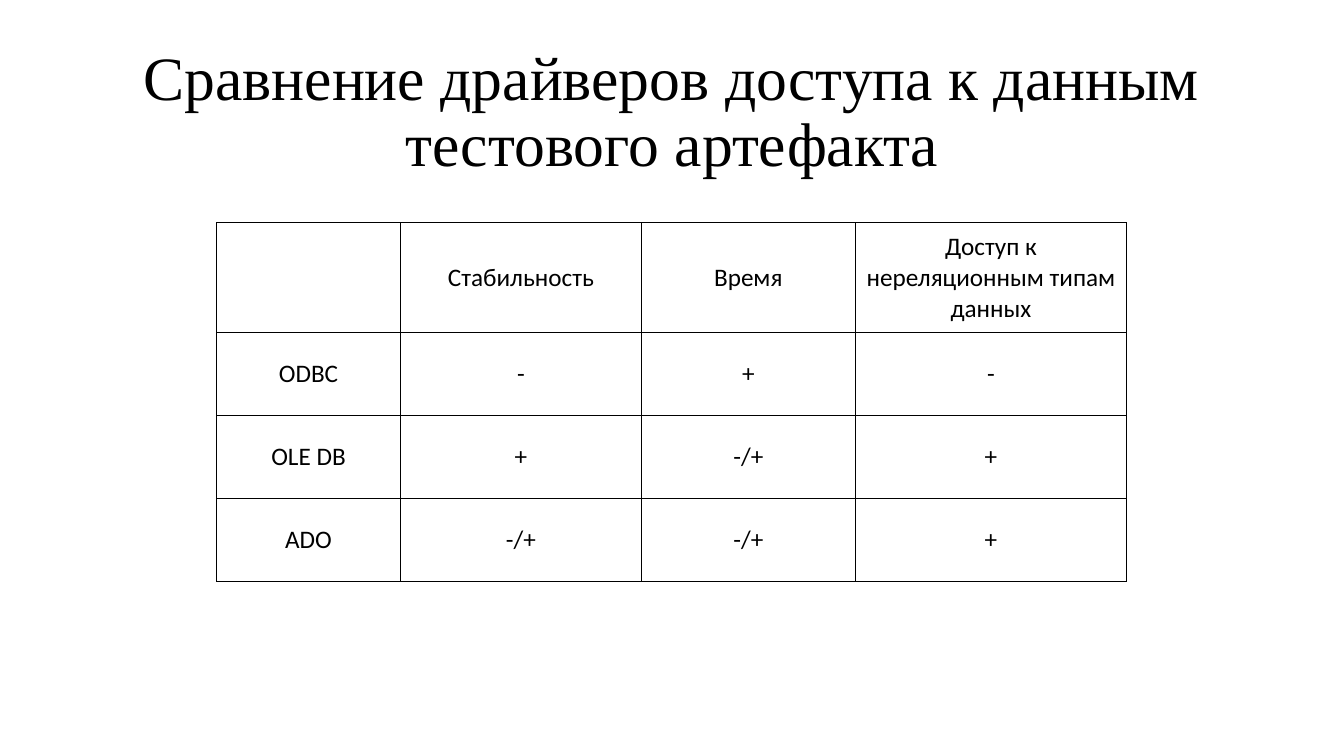
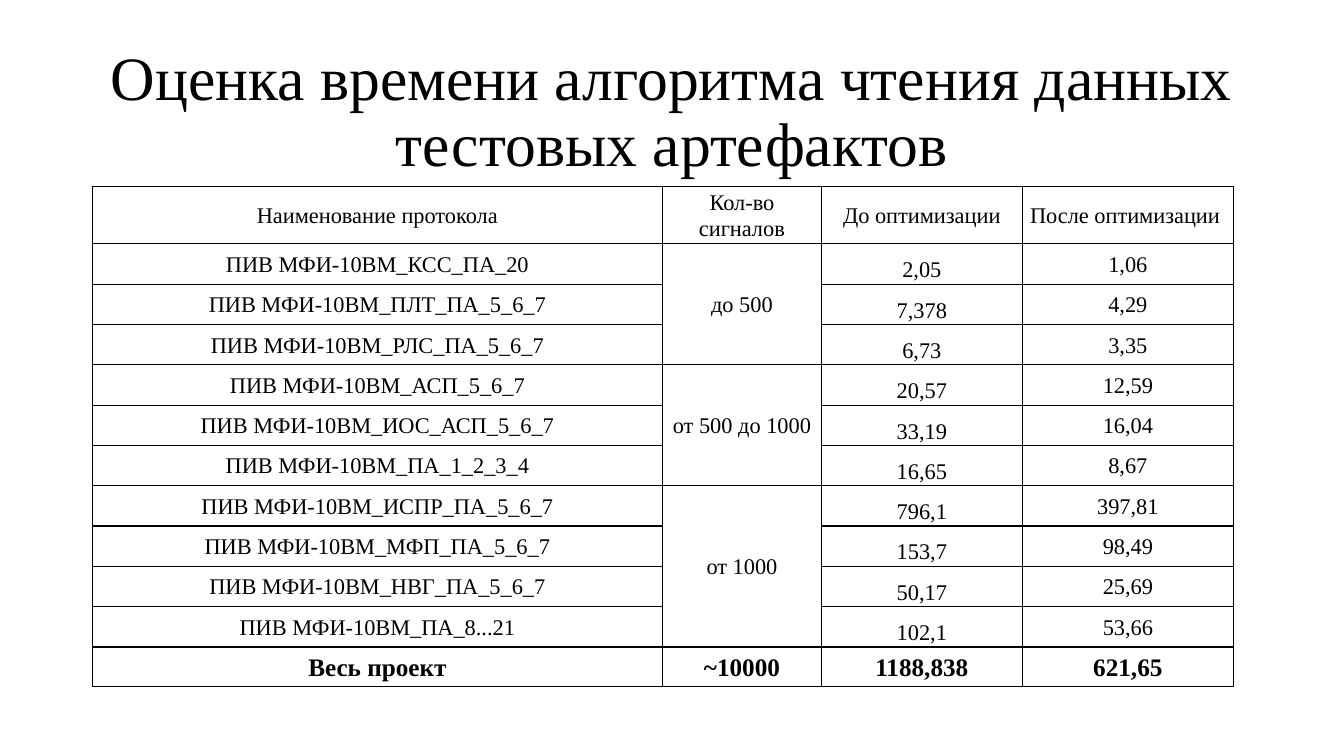
from lxml import etree
from pptx import Presentation
from pptx import util as u
from pptx.dml.color import RGBColor
from pptx.enum import text
from pptx.oxml import ns

Pt = u.Pt
BLACK = RGBColor(0x00, 0x00, 0x00)
SERIF = "Times New Roman"
SANS = "Calibri"
BORDER_WIDTH = Pt(1)

DRIVERS = [
    ["", "Стабильность", "Время", "Доступ к нереляционным типам данных"],
    ["ODBC", "-", "+", "-"],
    ["OLE DB", "+", "-/+", "+"],
    ["ADO", "-/+", "-/+", "+"],
]

TIMING_HEADER = ["Наименование протокола", "Кол-во сигналов",
                 "До оптимизации", "После оптимизации\u00a0"]
PROTOCOL_PREFIX = "ПИВ МФИ-10ВМ_"
SIGNAL_GROUPS = [
    ("до 500", [("КСС_ПА_20", "2,05", "1,06"),
                ("ПЛТ_ПА_5_6_7", "7,378", "4,29"),
                ("РЛС_ПА_5_6_7", "6,73", "3,35")]),
    ("от 500 до 1000", [("АСП_5_6_7", "20,57", "12,59"),
                        ("ИОС_АСП_5_6_7", "33,19", "16,04"),
                        ("ПА_1_2_3_4", "16,65", "8,67")]),
    ("от 1000", [("ИСПР_ПА_5_6_7", "796,1", "397,81"),
                 ("МФП_ПА_5_6_7", "153,7", "98,49"),
                 ("НВГ_ПА_5_6_7", "50,17", "25,69"),
                 ("ПА_8...21", "102,1", "53,66")]),
]
TIMING_TOTAL = ["Весь проект", "~10000", "1188,838", "621,65"]


def write(frame, words, font, size, spacing=None, bold=False):
    """Put one centred run of text into a text frame."""
    para = frame.paragraphs[0]
    para.alignment = text.PP_ALIGN.CENTER
    if spacing:
        para.line_spacing = spacing
    if words:
        span = para.add_run()
        span.text = words
        span.font.name = font
        span.font.size = Pt(size)
        span.font.bold = bold
        span.font.color.rgb = BLACK


def add_title(page, words):
    """Add the slide title, centred in its band."""
    box = page.shapes.add_textbox(Pt(66), Pt(28.75), Pt(828), Pt(104.4))
    frame = box.text_frame
    frame.word_wrap = True
    frame.vertical_anchor = text.MSO_ANCHOR.MIDDLE
    write(frame, words, SERIF, 44, spacing=0.9)


def add_borders(cell):
    """Draw a solid line on all four sides of a cell."""
    properties = cell._tc.get_or_add_tcPr()
    for side in ("a:lnL", "a:lnR", "a:lnT", "a:lnB"):
        line = etree.SubElement(properties, ns.qn(side), w=str(BORDER_WIDTH))
        fill = etree.SubElement(line, ns.qn("a:solidFill"))
        etree.SubElement(fill, ns.qn("a:srgbClr"), val=str(BLACK))


def add_grid(page, left, top, widths, heights):
    """Add an unfilled table with black borders and return it."""
    frame = page.shapes.add_table(len(heights), len(widths), Pt(left), Pt(top),
                                  Pt(sum(widths)), Pt(sum(heights)))
    table = frame.table
    table.first_row = False
    table.horz_banding = False
    for column, width in zip(table.columns, widths):
        column.width = Pt(width)
    for row, height in zip(table.rows, heights):
        row.height = Pt(height)
    for cell in table.iter_cells():
        add_borders(cell)
        cell.fill.background()
        cell.vertical_anchor = text.MSO_ANCHOR.MIDDLE
    return table


def set_tight_margins(cell):
    """Narrow the side margins of a cell and drop the others."""
    cell.margin_left = cell.margin_right = Pt(5.04)
    cell.margin_top = cell.margin_bottom = Pt(0)


def add_driver_table(page):
    """Add the comparison of data access drivers."""
    table = add_grid(page, 154.8, 159.1, [131.2, 172.2, 152.8, 193.8],
                     [78.6] + [59.2] * 3)
    for row, values in enumerate(DRIVERS):
        for column, words in enumerate(values):
            write(table.cell(row, column).text_frame, words, SANS, 18)


def add_timing_table(page):
    """Add the reading times, with signal counts merged by group."""
    rows = [TIMING_HEADER]
    merges = []
    for signals, protocols in SIGNAL_GROUPS:
        merges.append((len(rows), len(rows) + len(protocols) - 1))
        for index, (name, before, after) in enumerate(protocols):
            rows.append([PROTOCOL_PREFIX + name, "" if index else signals,
                         before, after])
    rows.append(TIMING_TOTAL)

    table = add_grid(page, 66, 133.1, [407.2, 113.6, 143.4, 151],
                     [28.4] * len(rows))
    last = len(rows) - 1
    for row, values in enumerate(rows):
        for column, words in enumerate(values):
            cell = table.cell(row, column)
            set_tight_margins(cell)
            before_time = column == 2 and 0 < row < last
            write(cell.text_frame, words, SERIF, 18 if row == last else 16,
                  spacing=1.5 if before_time else 1.07, bold=row == last)
    for first, final in merges:
        table.cell(first, 1).merge(table.cell(final, 1))


def main():
    """Build both slides and save the deck."""
    deck = Presentation()
    deck.slide_width, deck.slide_height = Pt(960), Pt(540)
    slides = [
        ("Сравнение драйверов доступа к данным тестового артефакта",
         add_driver_table),
        ("Оценка времени алгоритма чтения данных тестовых артефактов",
         add_timing_table),
    ]
    for title, add_content in slides:
        page = deck.slides.add_slide(deck.slide_layouts[6])
        add_title(page, title)
        add_content(page)
    deck.save("out.pptx")


main()
